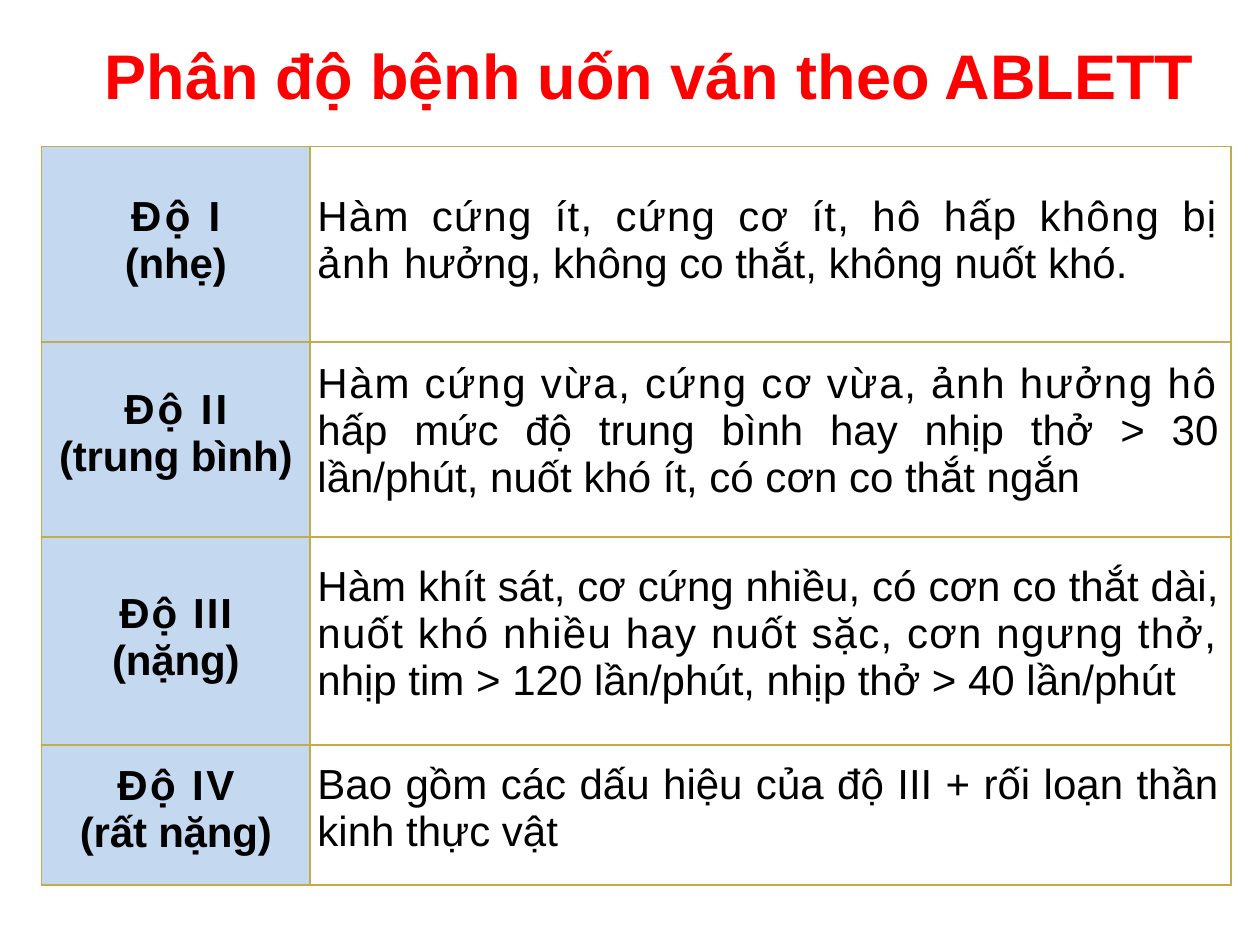
from dataclasses import dataclass

import lxml.etree
import pptx
import pptx.dml.color
import pptx.enum.text
import pptx.oxml.ns
import pptx.util
from pptx.util import Cm

ALIGN = pptx.enum.text.PP_ALIGN


@dataclass(frozen=True)
class Theme:
    font: str = "Arial"
    title_size: int = 36
    body_size: int = 24
    title: str = "FE0000"
    text: str = "000000"
    grade_fill: str = "C4D8EF"
    border: str = "C4AB49"
    border_width: int = 1


THEME = Theme()

TITLE = "Phân độ bệnh uốn ván theo ABLETT"
COLUMN_WIDTHS = (5.41, 18.57)


@dataclass(frozen=True)
class Grade:
    """One table row; lengths in cm, letter spacing in points."""
    name: str
    severity: str
    name_spacing: float
    opening: str
    opening_spacing: float
    rest: str
    height: float
    grade_top: float
    signs_top: float


GRADES = (
    Grade("Độ I", "(nhẹ)", 1.9,
          "Hàm cứng ít, cứng cơ ít, hô hấp không bị ảnh ", 0.7,
          "hưởng, không co thắt, không nuốt khó.",
          3.94, 0.96, 0.95),
    Grade("Độ II", "(trung bình)", 1.7,
          "Hàm cứng vừa, cứng cơ vừa, ảnh hưởng hô ", 1,
          "hấp mức độ trung bình hay nhịp thở > 30 lần/phút, "
          "nuốt khó ít, có cơn co thắt ngắn",
          3.94, 0.91, 0.38),
    Grade("Độ III", "(nặng)", 1.2,
          "Hàm khít sát, cơ cứng nhiều, có cơn co thắt dài, ", 0,
          "nuốt khó nhiều hay nuốt sặc, cơn ngưng thở, "
          "nhịp tim > 120 lần/phút, nhịp thở > 40 lần/phút",
          4.19, 1.07, 0.53),
    Grade("Độ IV", "(rất nặng)", 1.4,
          "Bao gồm các dấu hiệu của độ III + rối loạn thần ", 0,
          "kinh thực vật",
          2.82, 0.36, 0.34),
)


def color(value):
    return pptx.dml.color.RGBColor.from_string(value)


def add_run(paragraph, text, size, text_color, bold=False, spacing=0):
    run = paragraph.add_run()
    run.text = text
    run.font.name = THEME.font
    run.font.size = pptx.util.Pt(size)
    run.font.bold = bold
    run.font.color.rgb = color(text_color)
    if spacing:
        run.font._element.set("spc", str(round(spacing * 100)))


def set_borders(cell):
    properties = cell._tc.get_or_add_tcPr()
    qn = pptx.oxml.ns.qn
    for index, side in enumerate(("a:lnL", "a:lnR", "a:lnT", "a:lnB")):
        line = lxml.etree.Element(qn(side), w=str(pptx.util.Pt(THEME.border_width)))
        fill = lxml.etree.SubElement(line, qn("a:solidFill"))
        lxml.etree.SubElement(fill, qn("a:srgbClr"), val=THEME.border)
        properties.insert(index, line)


def set_margins(cell, left, top, right):
    cell.margin_left, cell.margin_top = Cm(left), Cm(top)
    cell.margin_right, cell.margin_bottom = Cm(right), Cm(0)


def fill_grade_cell(cell, grade):
    set_margins(cell, 0, grade.grade_top, 0)
    cell.fill.solid()
    cell.fill.fore_color.rgb = color(THEME.grade_fill)
    set_borders(cell)
    name = cell.text_frame.paragraphs[0]
    severity = cell.text_frame.add_paragraph()
    lines = ((name, grade.name, grade.name_spacing),
             (severity, grade.severity, -0.1))
    for paragraph, text, spacing in lines:
        paragraph.alignment = ALIGN.CENTER
        add_run(paragraph, text, THEME.body_size, THEME.text, True, spacing)


def fill_signs_cell(cell, grade):
    set_margins(cell, 0.15, grade.signs_top, 0.25)
    cell.fill.background()
    set_borders(cell)
    paragraph = cell.text_frame.paragraphs[0]
    paragraph.alignment = ALIGN.JUSTIFY
    # The third grade is spaced out on its second line instead of its first.
    parts = [(grade.opening, grade.opening_spacing)]
    head, comma, tail = grade.rest.partition("thở, ")
    if comma:
        parts += [(head + comma, 0.75), (tail, 0)]
    else:
        parts.append((grade.rest, 0))
    for text, spacing in parts:
        add_run(paragraph, text, THEME.body_size, THEME.text, spacing=spacing)


def add_title(slide, left, top, width, height):
    box = slide.shapes.add_textbox(Cm(left), Cm(top), Cm(width), Cm(height))
    frame = box.text_frame
    frame.word_wrap = True
    frame.margin_left = frame.margin_right = Cm(0)
    frame.margin_top = frame.margin_bottom = Cm(0)
    add_run(frame.paragraphs[0], TITLE, THEME.title_size, THEME.title, True)


def add_grade_table(slide, left, top):
    width = sum(COLUMN_WIDTHS)
    height = sum(grade.height for grade in GRADES)
    table = slide.shapes.add_table(len(GRADES), len(COLUMN_WIDTHS), Cm(left),
                                   Cm(top), Cm(width), Cm(height)).table
    table.first_row = False
    table.horz_banding = False
    for column, column_width in zip(table.columns, COLUMN_WIDTHS):
        column.width = Cm(column_width)
    for row, grade in zip(table.rows, GRADES):
        row.height = Cm(grade.height)
        grade_cell, signs_cell = row.cells
        fill_grade_cell(grade_cell, grade)
        fill_signs_cell(signs_cell, grade)


def main():
    presentation = pptx.Presentation()
    presentation.slide_width, presentation.slide_height = Cm(25.4), Cm(19.05)
    slide = presentation.slides.add_slide(presentation.slide_layouts[6])
    add_title(slide, 2.11, 0.74, 22.38, 1.52)
    add_grade_table(slide, 0.84, 2.95)
    presentation.save("out.pptx")


if __name__ == "__main__":
    main()
